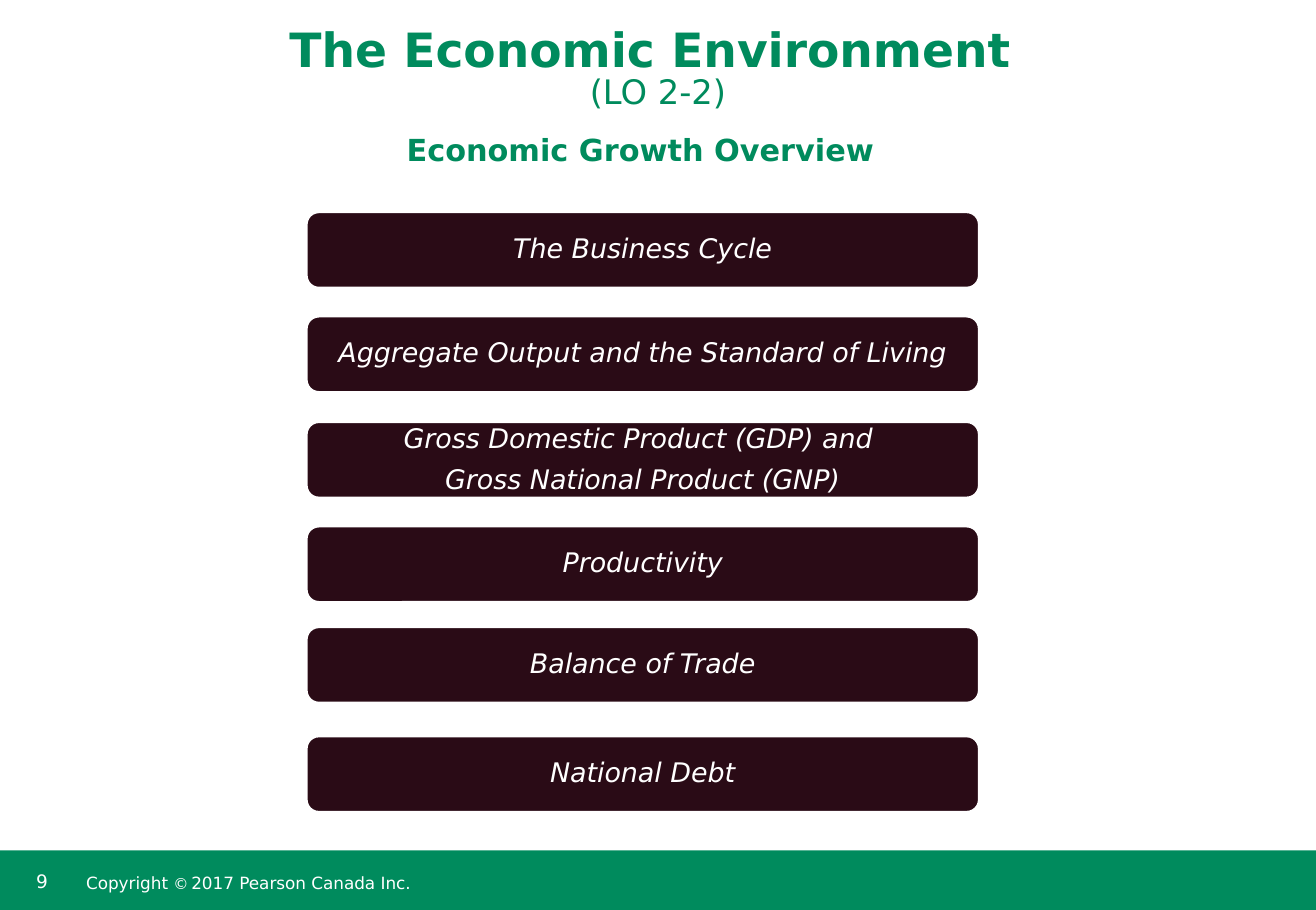
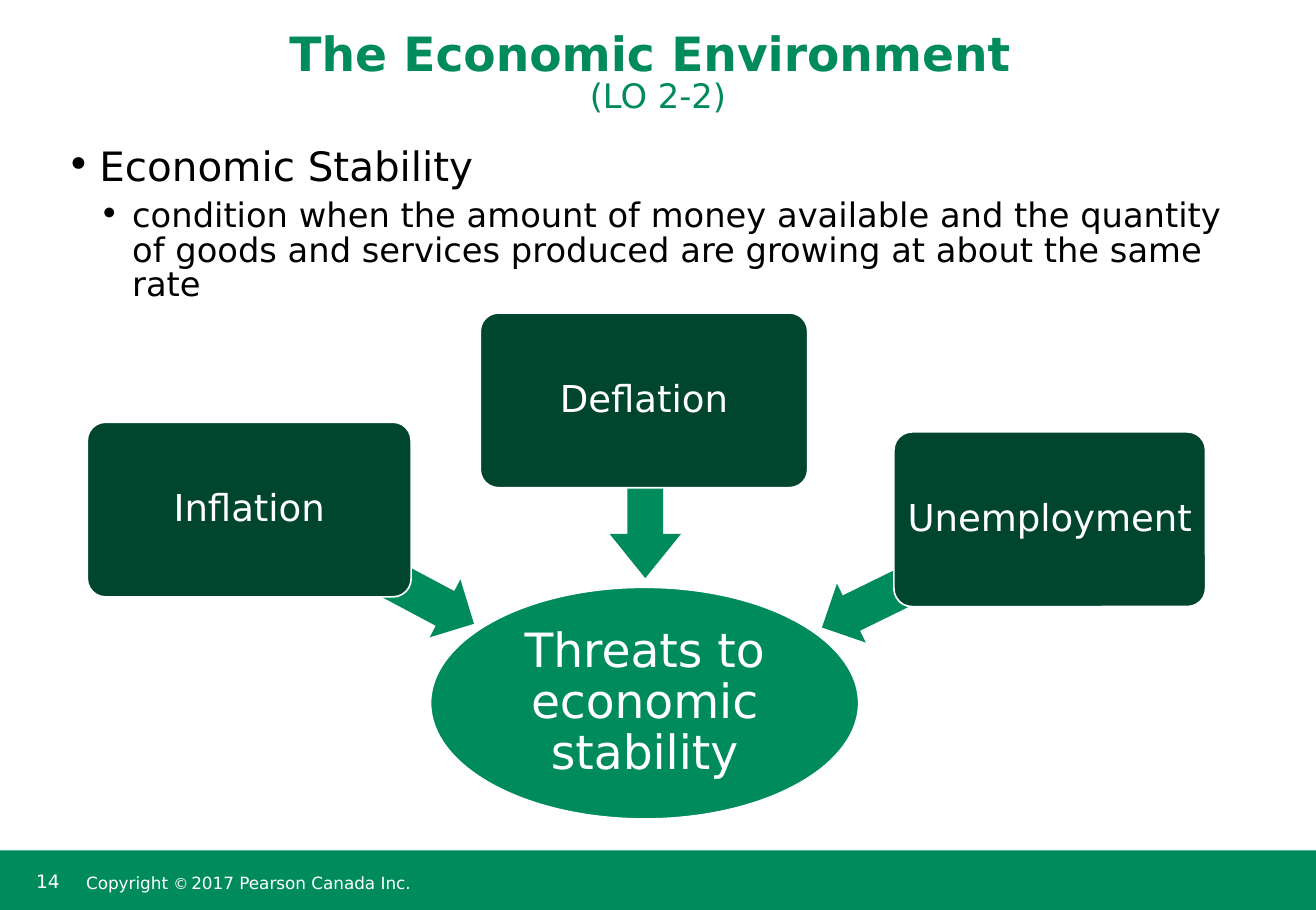
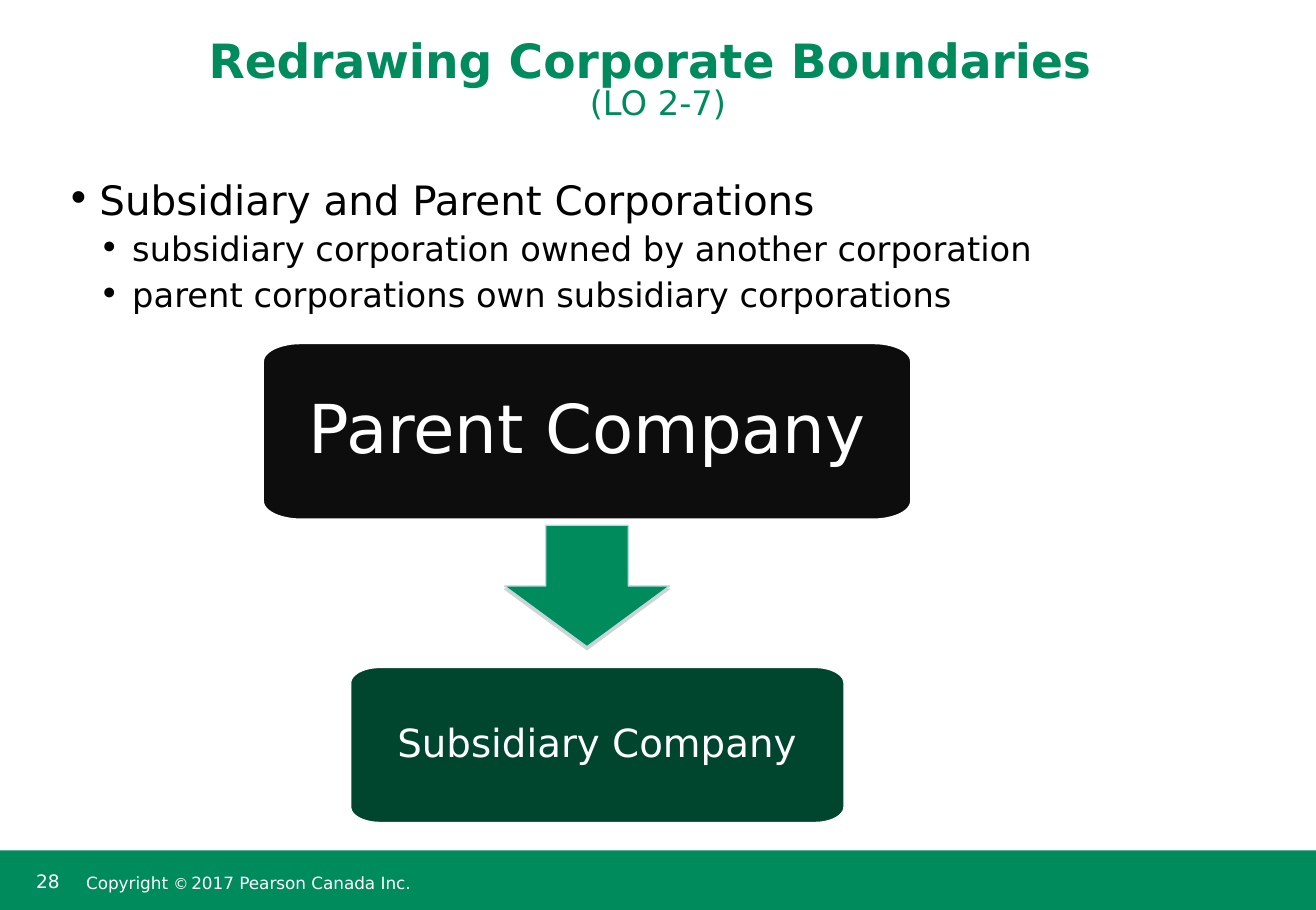
import copy
import math
from dataclasses import dataclass
from typing import Optional

import lxml.etree
import pptx
import pptx.dml.color
import pptx.enum.shapes
import pptx.enum.text
import pptx.oxml.ns
import pptx.presentation
import pptx.shapes.base
import pptx.slide
import pptx.text.text
from pptx.util import Inches

FONT = "DejaVu Sans"
GREEN = "008B5D"
DARK_GREEN = "00452E"
MAROON = "2A0B16"
NEAR_BLACK = "0D0D0D"
PALE_TEAL = "B6DCDF"
BLACK = "000000"
WHITE = "FFFFFF"

PAGE_WIDTH = 10.85
PAGE_HEIGHT = 7.5
BAND_TOP = 7.01
BAND_HEIGHT = 0.5

PRESET = pptx.enum.shapes.MSO_SHAPE
ALIGN = pptx.enum.text.PP_ALIGN
ANCHOR = pptx.enum.text.MSO_ANCHOR
qn = pptx.oxml.ns.qn


@dataclass(frozen=True)
class Area:
    left: float
    top: float
    width: float
    height: float

    def emu(self) -> tuple[int, int, int, int]:
        return (Inches(self.left), Inches(self.top),
                Inches(self.width), Inches(self.height))


@dataclass(frozen=True)
class Box:
    area: Area
    lines: tuple[str, ...]
    size: float
    fill: str = DARK_GREEN
    corner: tuple[float, float] = (0.15, 0.15)
    inset: float = 0.05
    italic: bool = False
    oval: bool = False


@dataclass(frozen=True)
class Arrow:
    area: Area
    rotation: float = 0
    preset: pptx.enum.shapes.MSO_SHAPE = PRESET.LEFT_ARROW
    shaft: float = 0.6
    head: float = 0.5
    line: Optional[str] = None


@dataclass(frozen=True)
class Point:
    text: str
    level: int = 0


def color(value: str) -> pptx.dml.color.RGBColor:
    return pptx.dml.color.RGBColor.from_string(value)


def set_frame(frame: pptx.text.text.TextFrame, anchor: pptx.enum.text.MSO_ANCHOR,
              insets: tuple[float, float, float, float] = (0.1, 0.05, 0.1, 0.05)) -> None:
    frame.word_wrap = True
    frame.auto_size = pptx.enum.text.MSO_AUTO_SIZE.NONE
    frame.vertical_anchor = anchor
    (frame.margin_left, frame.margin_top,
     frame.margin_right, frame.margin_bottom) = map(Inches, insets)


def write(frame: pptx.text.text.TextFrame, text: str, *, size: float,
          ink: str = WHITE, bold: bool = False, italic: bool = False,
          align: pptx.enum.text.PP_ALIGN = ALIGN.LEFT, spacing: float = 0.85,
          after: float = 0, level: int = 0, margin: float = 0,
          indent: float = 0, bullet: bool = False, joined: bool = False,
          line_break: bool = False) -> None:
    paragraph = frame.paragraphs[-1]
    if not joined:
        if paragraph.runs:
            paragraph = frame.add_paragraph()
        paragraph.level = level
        paragraph.alignment = align
        paragraph.line_spacing = spacing
        paragraph.space_before = pptx.util.Pt(0)
        paragraph.space_after = pptx.util.Pt(after)
        properties = paragraph._p.get_or_add_pPr()
        properties.set("marL", str(Inches(margin)))
        properties.set("indent", str(Inches(indent)))
        if bullet:
            mark_color = lxml.etree.SubElement(properties, qn("a:buClr"))
            lxml.etree.SubElement(mark_color, qn("a:srgbClr"), val=ink)
            lxml.etree.SubElement(properties, qn("a:buFont"), typeface=FONT)
            lxml.etree.SubElement(properties, qn("a:buChar"), char="•")
        else:
            lxml.etree.SubElement(properties, qn("a:buNone"))
    run = paragraph.add_run()
    run.text = text
    run.font.name = FONT
    run.font.size = pptx.util.Pt(size)
    run.font.bold = bold
    run.font.italic = italic
    run.font.color.rgb = color(ink)
    if line_break:
        paragraph.add_line_break()
        paragraph._p[-1].append(copy.deepcopy(run._r.get_or_add_rPr()))


def paint(shape: pptx.shapes.base.BaseShape, fill: str,
          line: Optional[str] = None, weight: float = 1) -> None:
    shape.shadow.inherit = False
    shape.fill.solid()
    shape.fill.fore_color.rgb = color(fill)
    if line is None:
        shape.line.fill.background()
    else:
        shape.line.color.rgb = color(line)
        shape.line.width = pptx.util.Pt(weight)


def add_shared_footer(presentation: pptx.presentation.Presentation,
                      slide: pptx.slide.Slide) -> None:
    band = slide.shapes.add_shape(
        PRESET.RECTANGLE, *Area(0, BAND_TOP, PAGE_WIDTH, BAND_HEIGHT).emu())
    paint(band, GREEN)
    copyright_line = slide.shapes.add_textbox(
        *Area(0.66, BAND_TOP, 5.78, BAND_HEIGHT).emu())
    frame = copyright_line.text_frame
    set_frame(frame, ANCHOR.MIDDLE, (0.05, 0.1, 0.05, 0.05))
    write(frame, "Copyright ", size=10)
    write(frame, "©", size=9, joined=True)
    write(frame, " ", size=5, joined=True)
    write(frame, "2017 Pearson Canada Inc.", size=10, joined=True)
    for part in (band, copyright_line):
        presentation.slide_master.shapes.element.append(part.element)


def add_page(presentation: pptx.presentation.Presentation, number: int,
             heading: str, objective: str, title_height: float) -> pptx.slide.Slide:
    slide = presentation.slides.add_slide(presentation.slide_layouts[1])
    title = slide.shapes.title
    title.left, title.top, title.width, title.height = Area(
        0, 0, PAGE_WIDTH, title_height).emu()
    set_frame(title.text_frame, ANCHOR.BOTTOM)
    write(title.text_frame, heading + " ", size=28, ink=GREEN, bold=True,
          align=ALIGN.CENTER, after=6.5, line_break=True)
    write(title.text_frame, objective, size=20, ink=GREEN, joined=True)
    page_number = slide.shapes.add_textbox(*Area(0.2, 7.12, 0.47, 0.32).emu())
    set_frame(page_number.text_frame, ANCHOR.TOP)
    write(page_number.text_frame, str(number), size=11, spacing=1)
    return slide


def place_body(slide: pptx.slide.Slide, area: Area) -> pptx.text.text.TextFrame:
    body = slide.placeholders[1]
    body.left, body.top, body.width, body.height = area.emu()
    set_frame(body.text_frame, ANCHOR.TOP)
    return body.text_frame


def add_points(slide: pptx.slide.Slide, area: Area, points: tuple[Point, ...]) -> None:
    frame = place_body(slide, area)
    for point in points:
        write(frame, point.text, size=24 - 4 * point.level, ink=BLACK, after=6.5,
              level=point.level, margin=0.27 * (point.level + 1), indent=-0.27,
              bullet=True)


def outline(area: Area, corner: tuple[float, float]) -> list[tuple[int, int]]:
    across, down = corner
    left, right = area.left + across, area.left + area.width - across
    top, bottom = area.top + down, area.top + area.height - down
    centres = ((left, top), (right, top), (right, bottom), (left, bottom))
    steps = 12
    vertices = []
    for quarter, (x, y) in enumerate(centres):
        for step in range(steps + 1):
            angle = math.pi + (quarter + step / steps) * math.pi / 2
            vertices.append((Inches(x + across * math.cos(angle)),
                             Inches(y + down * math.sin(angle))))
    return vertices


def add_box(slide: pptx.slide.Slide, box: Box) -> None:
    across, down = box.corner
    if box.oval:
        shape = slide.shapes.add_shape(PRESET.OVAL, *box.area.emu())
    elif across == down:
        shape = slide.shapes.add_shape(PRESET.ROUNDED_RECTANGLE, *box.area.emu())
        shape.adjustments[0] = across / min(box.area.width, box.area.height)
    else:
        start, *rest = outline(box.area, box.corner)
        builder = slide.shapes.build_freeform(*start)
        builder.add_line_segments(rest, close=True)
        shape = builder.convert_to_shape()
    paint(shape, box.fill, WHITE)
    set_frame(shape.text_frame, ANCHOR.MIDDLE, (box.inset,) * 4)
    for text in box.lines:
        write(shape.text_frame, text, size=box.size, italic=box.italic,
              align=ALIGN.CENTER, spacing=0.9, after=round(box.size * 0.4375, 1))


def add_arrow(slide: pptx.slide.Slide, arrow: Arrow) -> None:
    shape = slide.shapes.add_shape(arrow.preset, *arrow.area.emu())
    shape.rotation = arrow.rotation
    shape.adjustments[0] = arrow.shaft
    shape.adjustments[1] = arrow.head
    paint(shape, GREEN, arrow.line, 0.75)
    if arrow.line:
        effects = shape.element.spPr.find(qn("a:effectLst"))
        shade = lxml.etree.SubElement(
            effects, qn("a:outerShdw"), blurRad="0",
            dist=str(pptx.util.Pt(1.8)), dir="5400000", rotWithShape="0")
        tint = lxml.etree.SubElement(shade, qn("a:srgbClr"), val="808080")
        lxml.etree.SubElement(tint, qn("a:alpha"), val="35000")


def build_growth(slide: pptx.slide.Slide) -> None:
    overview = place_body(slide, Area(0.45, 1.08, 9.4, 0.67))
    write(overview, "Economic Growth Overview", size=18, ink=GREEN, bold=True,
          align=ALIGN.CENTER, after=6.5, level=1, margin=0.57, indent=-0.31)
    topics = (
        (1.75, ("The Business Cycle",)),
        (2.61, ("Aggregate Output and the Standard of Living",)),
        (3.48, ("Gross Domestic Product (GDP) and ",
                "Gross National Product (GNP)")),
        (4.34, ("Productivity",)),
        (5.17, ("Balance of Trade",)),
        (6.07, ("National Debt",)),
    )
    for top, lines in topics:
        add_box(slide, Box(Area(2.53, top, 5.54, 0.62), lines, 16, MAROON,
                           corner=(0.1, 0.1), inset=0.11, italic=True))


def build_stability(slide: pptx.slide.Slide) -> None:
    add_points(slide, Area(0.45, 1.17, 9.95, 1.42), (
        Point("Economic Stability"),
        Point("condition when the amount of money available and the quantity of "
              "goods and services produced are growing at about the same rate", 1),
    ))
    add_box(slide, Box(Area(3.55, 4.84, 3.53, 1.91),
                       ("Threats to economic stability",), 28, GREEN,
                       inset=0, oval=True))
    threats = (
        (Arrow(Area(1.94, 4.38, 2.09, 0.54), 208),
         Box(Area(0.72, 3.48, 2.67, 1.44), ("Inflation",), 22)),
        (Arrow(Area(4.59, 3.74, 1.46, 0.59), 270, shaft=0.5, head=0.62),
         Box(Area(3.96, 2.58, 2.7, 1.44), ("Deflation",), 22)),
        (Arrow(Area(6.67, 4.44, 2.1, 0.54), 333.9),
         Box(Area(7.37, 3.56, 2.57, 1.44), ("Unemployment",), 22)),
    )
    for arrow, threat in threats:
        add_arrow(slide, arrow)
        add_box(slide, threat)


def build_ownership(slide: pptx.slide.Slide) -> None:
    add_points(slide, Area(0.45, 1.45, 9.95, 1.22), (
        Point("Subsidiary and Parent Corporations"),
        Point("subsidiary corporation owned by another corporation", 1),
        Point("parent corporations own subsidiary corporations", 1),
    ))
    add_box(slide, Box(Area(2.17, 2.83, 5.34, 1.45), ("Parent Company",), 40,
                       NEAR_BLACK, corner=(0.31, 0.15), inset=0.09))
    add_box(slide, Box(Area(2.89, 5.5, 4.07, 1.28), ("Subsidiary Company",), 23,
                       corner=(0.24, 0.13), inset=0.09))
    add_arrow(slide, Arrow(Area(4.16, 4.33, 1.36, 1), preset=PRESET.DOWN_ARROW,
                           shaft=0.5, line=PALE_TEAL))


def main() -> None:
    presentation = pptx.Presentation()
    presentation.slide_width = Inches(PAGE_WIDTH)
    presentation.slide_height = Inches(PAGE_HEIGHT)
    environment = "The Economic Environment"
    growth = add_page(presentation, 9, environment, "(LO 2-2)", 0.97)
    add_shared_footer(presentation, growth)
    build_growth(growth)
    build_stability(add_page(presentation, 14, environment, "(LO 2-2)", 1))
    build_ownership(add_page(presentation, 28, "Redrawing Corporate Boundaries",
                             "(LO 2-7)", 1.06))
    presentation.save("out.pptx")


if __name__ == "__main__":
    main()
